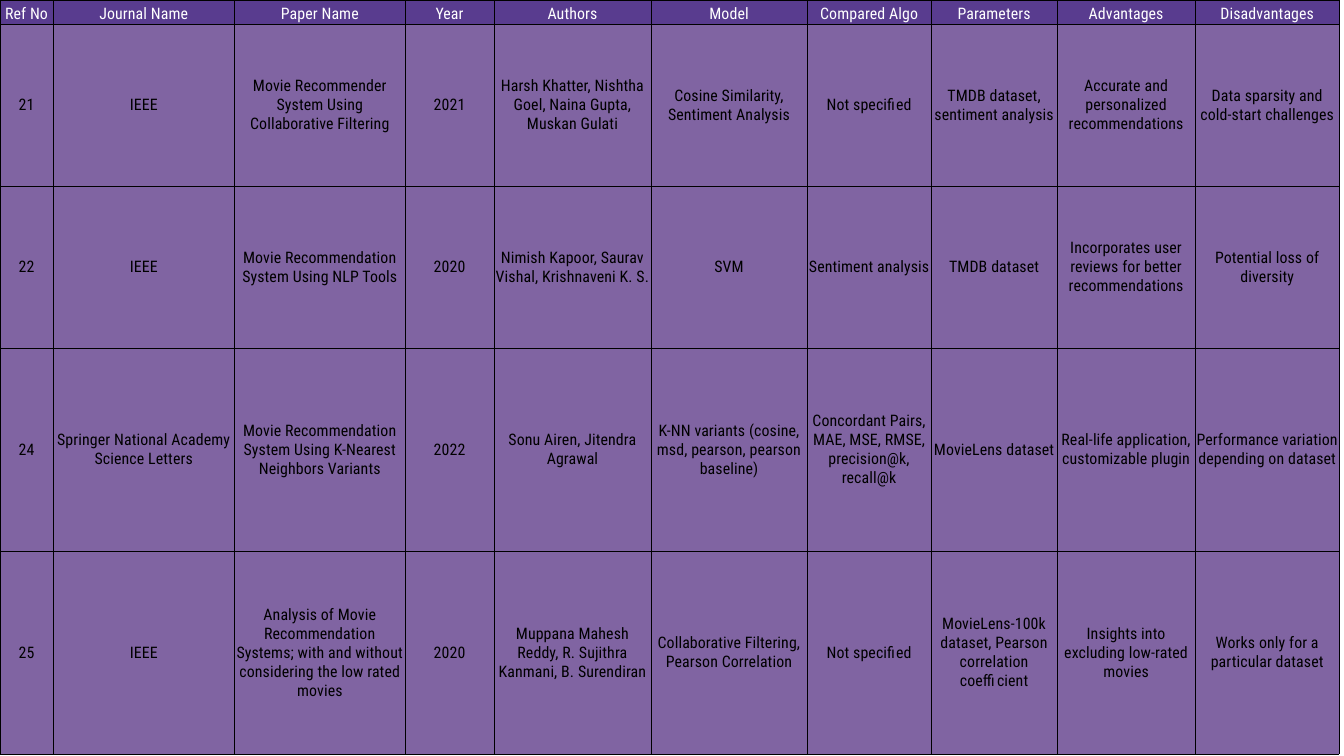
from pptx import Presentation
from pptx.dml.color import RGBColor
from pptx.enum.text import MSO_ANCHOR, PP_ALIGN
from pptx.oxml import parse_xml
from pptx.oxml.ns import nsdecls
from pptx.util import Emu, Pt

PX = 9144
COLORS = {"header": "593C8F", "body": "8064A2", "light": "FFFFFF", "dark": "000000"}
FONT = {"name": "Roboto Condensed", "size": Pt(17), "bold": False}
PARAGRAPH = {"alignment": PP_ALIGN.CENTER, "line_spacing": Pt(20.4)}
CELL = {
    "vertical_anchor": MSO_ANCHOR.MIDDLE,
    "margin_left": Emu(PX),
    "margin_right": Emu(PX),
    "margin_top": Emu(PX),
    "margin_bottom": Emu(PX),
}
PLAIN_TABLE = {"first_row": False, "horz_banding": False}
BORDER_WIDTH = Pt(0.37)
LETTER_SPACING = "10"

COLUMN_WIDTHS = [79, 270, 254, 132, 234, 232, 185, 187, 206, 214]
HEADINGS = [
    ["Ref No", "Journal Name", "Paper Name", "Year", "Authors", "Model",
     "Compared Algo", "Parameters", "Advantages", "Disadvantages"],
]
PAPERS = [
    ["21", "IEEE", "Movie Recommender System Using\nCollaborative Filtering", "2021",
     "Harsh Khatter, Nishtha Goel, Naina Gupta, Muskan Gulati",
     "Cosine Similarity, Sentiment Analysis", "Not specified",
     "TMDB dataset, sentiment analysis",
     "Accurate and personalized recommendations",
     "Data sparsity and cold-start challenges"],
    ["22", "IEEE", "Movie Recommendation System Using NLP Tools", "2020",
     "Nimish Kapoor, Saurav Vishal, Krishnaveni K. S.",
     "SVM", "Sentiment analysis", "TMDB dataset",
     "Incorporates user reviews for better recommendations",
     "Potential loss of diversity"],
    ["24", "Springer National Academy Science Letters",
     "Movie Recommendation System Using K-Nearest Neighbors Variants", "2022",
     "Sonu Airen, Jitendra Agrawal",
     "K-NN variants (cosine, msd, pearson, pearson baseline)",
     "Concordant Pairs, MAE, MSE, RMSE, precision@k, recall@k",
     "MovieLens dataset",
     "Real-life application, customizable plugin",
     "Performance variation depending on dataset"],
    ["25", "IEEE",
     "Analysis of Movie Recommendation Systems; with and without considering the low rated movies",
     "2020", "Muppana Mahesh Reddy, R. Sujithra Kanmani, B. Surendiran",
     "Collaborative Filtering, Pearson Correlation", "Not specified",
     "MovieLens-100k dataset, Pearson correlation coefficient",
     "Insights into excluding low-rated movies",
     "Works only for a particular dataset"],
]


def apply_format(target, values):
    for name, value in values.items():
        setattr(target, name, value)


class ReviewPage:
    def __init__(self, page):
        self.page = page

    def table(self, top, row_heights, rows, fill, ink):
        frame = self.page.shapes.add_table(
            len(rows), len(COLUMN_WIDTHS), 0, Emu(top * PX),
            Emu(sum(COLUMN_WIDTHS) * PX), Emu(sum(row_heights) * PX))
        table = frame.table
        apply_format(table, PLAIN_TABLE)
        for column, width in zip(table.columns, COLUMN_WIDTHS):
            column.width = Emu(width * PX)
        for row, height, texts in zip(table.rows, row_heights, rows):
            row.height = Emu(height * PX)
            for cell, text in zip(row.cells, texts):
                self.cell(cell, text, fill, ink)

    def cell(self, cell, text, fill, ink):
        apply_format(cell, CELL)
        self.borders(cell)
        cell.fill.solid()
        cell.fill.fore_color.rgb = RGBColor.from_string(COLORS[fill])
        cell.text = text
        for para in cell.text_frame.paragraphs:
            apply_format(para, PARAGRAPH)
            for span in para.runs:
                apply_format(span.font, FONT)
                span.font.color.rgb = RGBColor.from_string(COLORS[ink])
                span._r.get_or_add_rPr().set("spc", LETTER_SPACING)

    def borders(self, cell):
        properties = cell._tc.get_or_add_tcPr()
        for side in ("lnL", "lnR", "lnT", "lnB"):
            properties.append(parse_xml(
                f'<a:{side} {nsdecls("a")} w="{BORDER_WIDTH}"><a:solidFill>'
                f'<a:srgbClr val="{COLORS["dark"]}"/></a:solidFill></a:{side}>'))


def main():
    deck = Presentation()
    deck.slide_width = Emu(2000 * PX)
    deck.slide_height = Emu(1125 * PX)
    review = ReviewPage(deck.slides.add_slide(deck.slide_layouts[6]))
    review.table(0, [40], HEADINGS, "header", "light")
    review.table(36, [241, 241, 302, 302], PAPERS, "body", "dark")
    deck.save("out.pptx")


if __name__ == "__main__":
    main()
